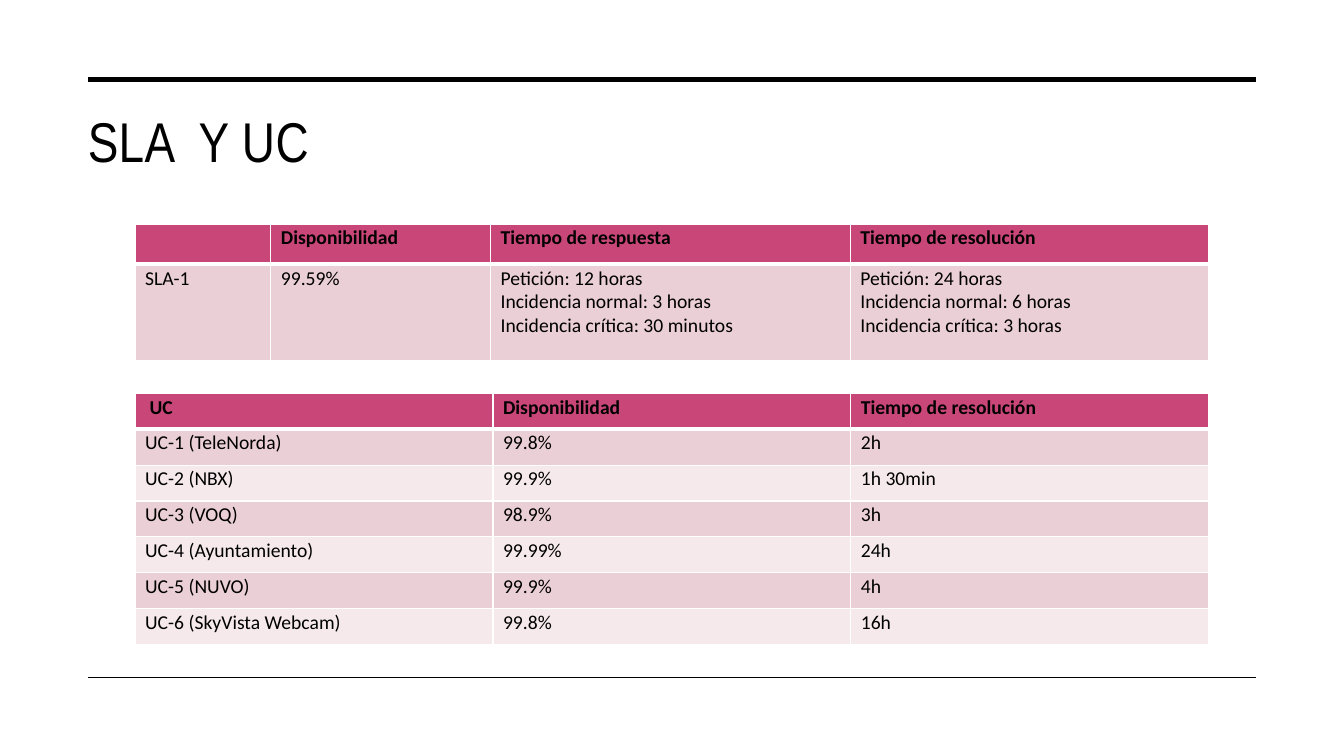
from lxml import etree
from pptx import Presentation
from pptx.dml.color import RGBColor
from pptx.enum.shapes import MSO_CONNECTOR
from pptx.enum.text import MSO_ANCHOR, MSO_AUTO_SIZE, PP_ALIGN
from pptx.oxml.ns import qn
from pptx.util import Pt

STRAIGHT = MSO_CONNECTOR.STRAIGHT
TOP = MSO_ANCHOR.TOP
NO_AUTOFIT = MSO_AUTO_SIZE.NONE
LEFT = PP_ALIGN.LEFT

BLACK, WHITE = "000000", "FFFFFF"
HEADER_FILL = "C94778"
BAND_FILLS = ("EBCFD6", "F5E9EC")

SLA_ROWS = [
    ["", "Disponibilidad", "Tiempo de respuesta", "Tiempo de resolución"],
    ["SLA-1", "99.59%",
     "Petición: 12 horas\nIncidencia normal: 3 horas\nIncidencia crítica: 30 minutos",
     "Petición: 24 horas\nIncidencia normal: 6 horas\nIncidencia crítica: 3 horas"],
]
UC_ROWS = [
    [" UC", "Disponibilidad", "Tiempo de resolución"],
    ["UC-1 (TeleNorda)", "99.8%", "2h"],
    ["UC-2 (NBX)", "99.9%", "1h 30min"],
    ["UC-3 (VOQ)", "98.9%", "3h"],
    ["UC-4 (Ayuntamiento)", "99.99%", "24h"],
    ["UC-5 (NUVO)", "99.9%", "4h"],
    ["UC-6 (SkyVista Webcam)", "99.8%", "16h"],
]


def color(hex_string):
    """Return the colour for a hex string."""
    return RGBColor.from_string(hex_string)


def style_font(font, size, name, bold=False):
    """Set a black font of the given size and name."""
    font.size = Pt(size)
    font.name = name
    font.bold = bold
    font.color.rgb = color(BLACK)


def add_rule(slide, left, top, width, weight):
    """Draw a horizontal black rule."""
    rule = slide.shapes.add_connector(
        STRAIGHT, Pt(left), Pt(top), Pt(left + width), Pt(top))
    rule.line.color.rgb = color(BLACK)
    rule.line.width = Pt(weight)
    etree.SubElement(rule._element.spPr, qn("a:effectLst"))


def add_title(slide, text, left, top, width, height):
    """Place and format the title placeholder."""
    title = slide.shapes.title
    title.left, title.top = Pt(left), Pt(top)
    title.width, title.height = Pt(width), Pt(height)
    frame = title.text_frame
    frame.text = text
    frame.word_wrap = True
    frame.auto_size = NO_AUTOFIT
    frame.vertical_anchor = TOP
    heading = frame.paragraphs[0]
    heading.alignment = LEFT
    style_font(heading.font, 40, "Arial Narrow")
    heading.runs[0]._r.get_or_add_rPr().set("spc", "30")


def add_borders(cell, top_weight, bottom_weight):
    """Give a cell white borders."""
    properties = cell._tc.get_or_add_tcPr()
    weights = {"L": 1, "R": 1, "T": top_weight, "B": bottom_weight}
    for side, weight in weights.items():
        border = etree.SubElement(
            properties, qn(f"a:ln{side}"), w=str(Pt(weight)))
        fill = etree.SubElement(border, qn("a:solidFill"))
        etree.SubElement(fill, qn("a:srgbClr"), val=WHITE)


def add_level_table(slide, rows, left, top, column_widths, row_heights):
    """Build a service level table with a header and banded rows."""
    table = slide.shapes.add_table(
        len(rows), len(column_widths), Pt(left), Pt(top),
        Pt(sum(column_widths)), Pt(sum(row_heights))).table
    for column, width in zip(table.columns, column_widths):
        column.width = Pt(width)
    for index, (texts, height) in enumerate(zip(rows, row_heights)):
        table.rows[index].height = Pt(height)
        is_header = index == 0
        fill = HEADER_FILL if is_header else BAND_FILLS[(index - 1) % 2]
        for position, text in enumerate(texts):
            cell = table.cell(index, position)
            add_borders(cell, 3 if index == 1 else 1, 3 if is_header else 1)
            cell.fill.solid()
            cell.fill.fore_color.rgb = color(fill)
            cell.margin_left = cell.margin_right = Pt(7.2)
            cell.margin_top = cell.margin_bottom = Pt(1.5)
            cell.vertical_anchor = TOP
            cell.text = text
            for paragraph in cell.text_frame.paragraphs:
                style_font(paragraph.font, 14, "Calibri", is_header)


def add_levels_slide(deck):
    """Add the slide with the SLA and UC tables."""
    slide = deck.slides.add_slide(deck.slide_layouts[5])
    add_rule(slide, 63, 57, 834, 3.5)
    add_rule(slide, 63, 484, 834, 1)
    add_title(slide, "SLA  Y UC", 55.5, 72.7, 841.5, 108)
    add_level_table(slide, UC_ROWS, 96.5, 281, [255.6] * 3, [25.65] * 7)
    add_level_table(slide, SLA_ROWS, 96.5, 160,
                    [97, 157, 257, 255.8], [28.8, 69])


def main():
    """Build and save the deck."""
    deck = Presentation()
    deck.slide_width, deck.slide_height = Pt(960), Pt(540)
    add_levels_slide(deck)
    deck.save("out.pptx")


if __name__ == "__main__":
    main()
